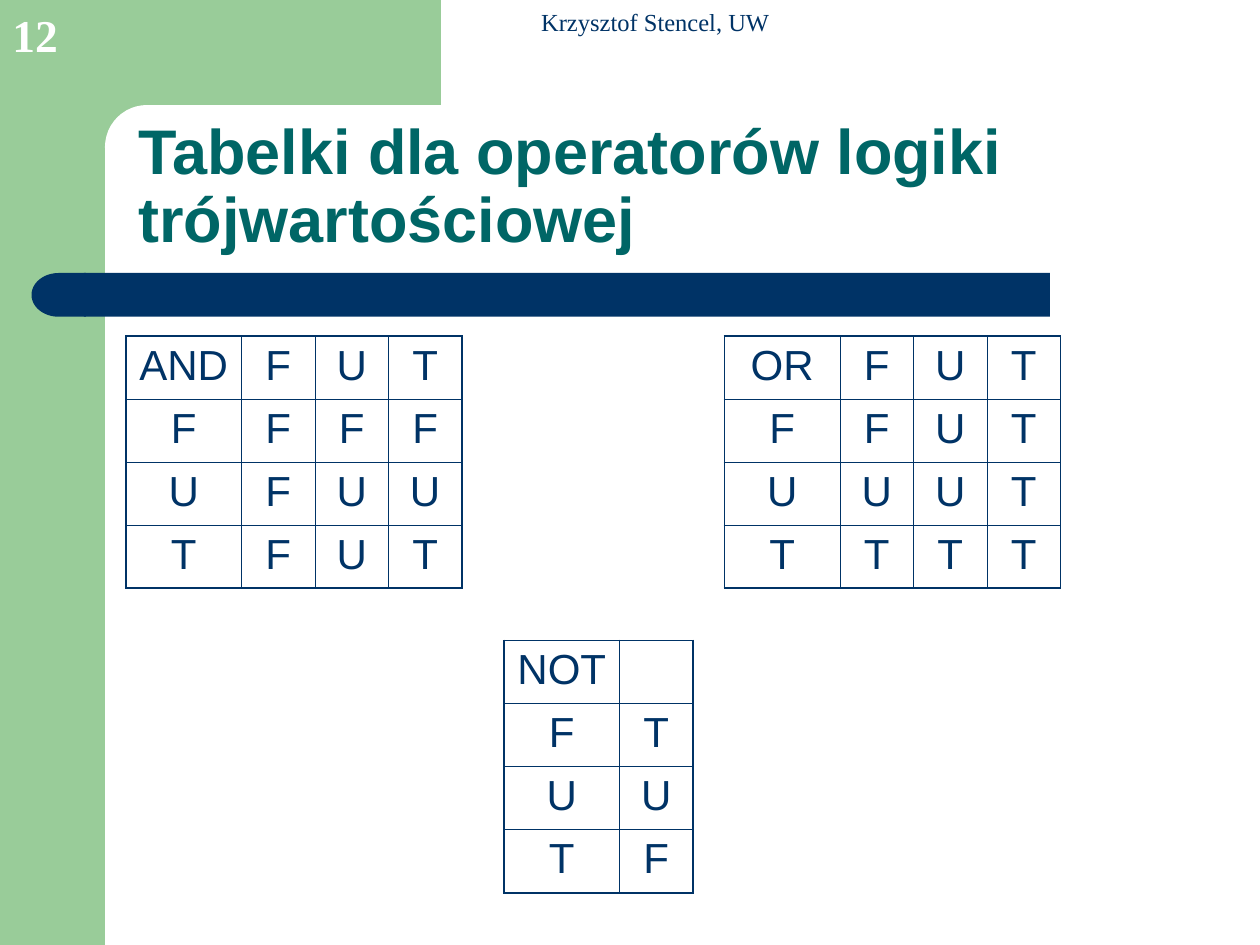
import pptx
import pptx.dml.color
import pptx.enum.shapes
import pptx.enum.text
import pptx.oxml
import pptx.oxml.ns
import pptx.util

Pt = pptx.util.Pt
Shape = pptx.enum.shapes.MSO_SHAPE
Align = pptx.enum.text.PP_ALIGN
Anchor = pptx.enum.text.MSO_ANCHOR

COLORS = {"green": "99CC99", "navy": "003366", "teal": "006666", "white": "FFFFFF"}
HEAD, COL, ROW = 66, 42, 36
THIN, THICK = 0.45, 1.08


def rgb(name):
    return pptx.dml.color.RGBColor.from_string(COLORS[name])


def style(font, color, **values):
    font.color.rgb = rgb(color)
    for name, value in values.items():
        setattr(font, name, value)


def block(slide, kind, box, color, round_by=None):
    shape = slide.shapes.add_shape(kind, *map(Pt, box))
    shape.shadow.inherit = False
    shape.fill.solid()
    shape.fill.fore_color.rgb = rgb(color)
    shape.line.fill.background()
    if round_by is not None:
        shape.adjustments[0] = round_by
    return shape


def label(slide, box, text, color, **values):
    """Add bottom-anchored text and return its paragraph."""
    frame = slide.shapes.add_textbox(*map(Pt, box)).text_frame
    frame.word_wrap = True
    frame.vertical_anchor = Anchor.BOTTOM
    para = frame.paragraphs[0]
    run = para.add_run()
    run.text = text
    style(run.font, color, **values)
    return para


def frame(slide, box):
    """Draw the green corner with its rounded inner edge."""
    x, y, w, h = box
    block(slide, Shape.RECTANGLE, (x, y, 60, h), "green")
    block(slide, Shape.RECTANGLE, (x + 54, y, 198, 84), "green")
    block(slide, Shape.ROUNDED_RECTANGLE, (x + 60, y + 60, 402, 48), "white", 0.5)


def bar(slide, box):
    x, y, w, h = box
    block(slide, Shape.ROUNDED_RECTANGLE, (x + 30, y, w - 30, h), "navy", 0)
    cap = block(slide, Shape.FLOWCHART_DELAY, (x, y, 31, h), "navy")
    cap.rotation = 180


def border(cell, side, width):
    line = pptx.oxml.parse_xml(
        f'<a:ln{side} {pptx.oxml.ns.nsdecls("a")} w="{Pt(width)}"><a:solidFill>'
        f'<a:srgbClr val="{COLORS["navy"]}"/></a:solidFill></a:ln{side}>')
    cell._tc.get_or_add_tcPr().append(line)


def truth(slide, x, y, rows):
    """Add a truth table with a heavier outer border."""
    down, across = len(rows), len(rows[0])
    wide = HEAD + COL * (across - 1)
    table = slide.shapes.add_table(
        down, across, Pt(x), Pt(y), Pt(wide), Pt(ROW * down)).table
    table.first_row = table.horz_banding = False
    for c, col in enumerate(table.columns):
        col.width = Pt(COL if c else HEAD)
    for r, row in enumerate(rows):
        table.rows[r].height = Pt(ROW)
        for c, text in enumerate(row):
            cell = table.cell(r, c)
            edges = {"L": c == 0, "R": c == across - 1,
                     "T": r == 0, "B": r == down - 1}
            for side, outer in edges.items():
                border(cell, side, THICK if outer else THIN)
            cell.fill.background()
            para = cell.text_frame.paragraphs[0]
            para.alignment = Align.CENTER
            para.space_before = Pt(6)
            if text:
                run = para.add_run()
                run.text = text
                style(run.font, "navy", name="Arial", size=Pt(24))


def header(slide, box):
    x, y, w, h = box
    para = label(slide, (x + 252, y, 228, 24.5), "Krzysztof Stencel, UW", "navy",
                 name="Times New Roman", size=Pt(14))
    para.alignment = Align.CENTER
    para._p.get_or_add_pPr().set("marL", str(Pt(17)))
    label(slide, (x, y, 46, 39), "12", "white",
          name="Times New Roman", size=Pt(26), bold=True)


def main():
    deck = pptx.Presentation()
    deck.slide_width, deck.slide_height = Pt(720), Pt(540)
    slide = deck.slides.add_slide(deck.slide_layouts[6])
    frame(slide, (0, 0, 720, 540))
    bar(slide, (18, 156, 582, 25))
    title = label(slide, (72, 60, 630, 90),
                  "Tabelki dla operatorów logiki trójwartościowej",
                  "teal", name="Arial", size=Pt(36), bold=True)
    title.line_spacing = 0.9
    truth(slide, 72, 192, [("AND", *"FUT"), "FFFF", "UFUU", "TFUT"])
    truth(slide, 414, 192, [("OR", *"FUT"), "FFUT", "UUUT", "TTTT"])
    truth(slide, 288, 366, [("NOT", ""), "FT", "UU", "TF"])
    header(slide, (0, 0, 720, 39))
    deck.save("out.pptx")


if __name__ == "__main__":
    main()
